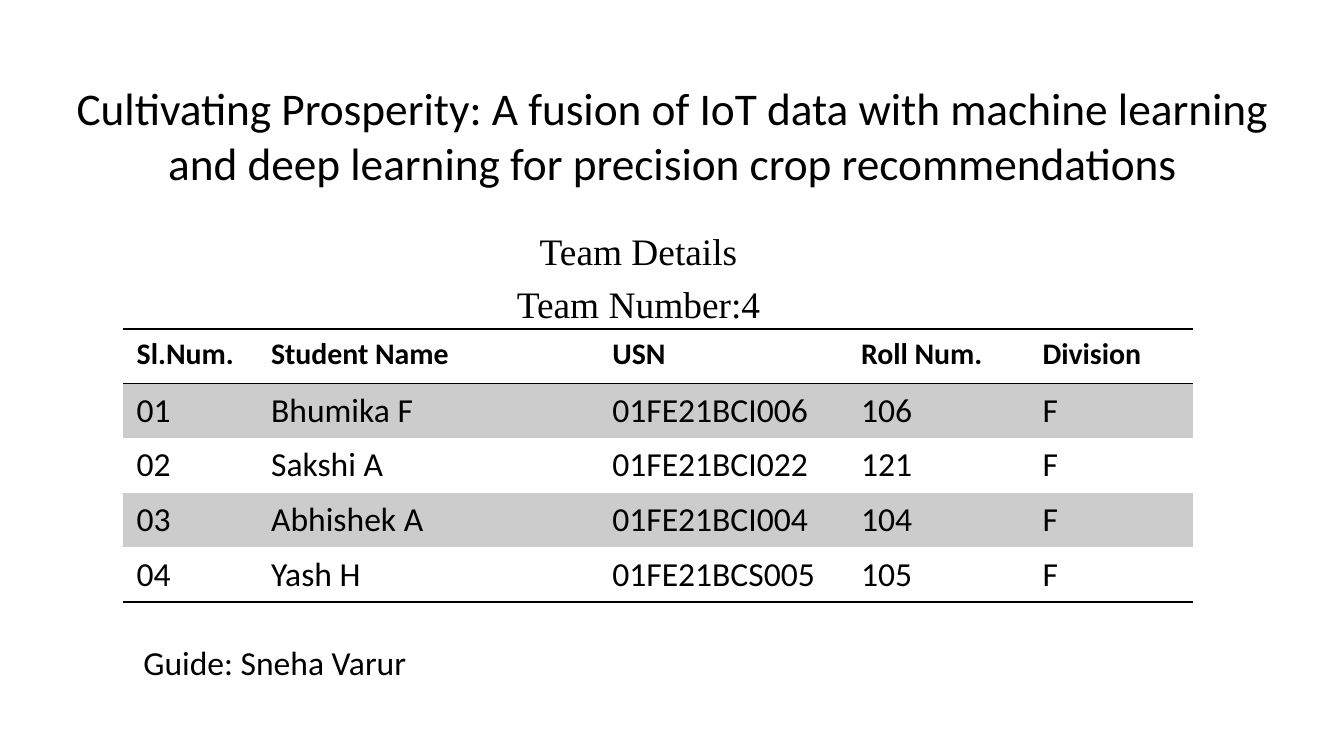
import pptx
import pptx.dml.color
import pptx.enum.text
import pptx.oxml
import pptx.oxml.ns
import pptx.util

Cm = pptx.util.Cm
Pt = pptx.util.Pt
ALIGN = pptx.enum.text.PP_ALIGN
ANCHOR = pptx.enum.text.MSO_ANCHOR

COLORS = {"text": "000000", "band": "CCCCCC", "rule": "000000"}
PLAIN_TABLE = "{2D5ABB26-0587-4C30-8999-92F81FD0307C}"
TITLE = ("Cultivating Prosperity: A fusion of IoT data with machine learning "
         "and deep learning for precision crop recommendations")
TEAM = [
    ["Sl.Num.", "Student Name", "USN", "Roll Num.", "Division"],
    ["01", "Bhumika F", "01FE21BCI006", "106", "F"],
    ["02", "Sakshi A", "01FE21BCI022", "121", "F"],
    ["03", "Abhishek A", "01FE21BCI004", "104", "F"],
    ["04", "Yash H", "01FE21BCS005", "105", "F"],
]


def set_attrs(obj, values):
    """Set every attribute of obj named in values."""
    for name, value in values.items():
        setattr(obj, name, value)


def place(sp, box):
    """Move a shape to a box of left, top, width and height in centimetres."""
    set_attrs(sp, dict(zip(("left", "top", "width", "height"), map(Cm, box))))


def write(tf, lines, font, para):
    """Fill a text frame with one formatted paragraph per line."""
    for i, line in enumerate(lines):
        p = tf.add_paragraph() if i else tf.paragraphs[0]
        set_attrs(p, para)
        r = p.add_run()
        r.text = line
        set_attrs(r.font, font)
        r.font.color.rgb = pptx.dml.color.RGBColor.from_string(COLORS["text"])


def add_title(s, box):
    """Format the title placeholder, set high in its box."""
    sp = s.shapes.title
    place(sp, box)
    tf = sp.text_frame
    set_attrs(tf, {"word_wrap": True, "vertical_anchor": ANCHOR.MIDDLE,
                   "auto_size": pptx.enum.text.MSO_AUTO_SIZE.NONE,
                   "margin_bottom": Cm(1.4)})
    write(tf, [TITLE], {"name": "Calibri", "size": Pt(24.3)},
          {"alignment": ALIGN.CENTER})


def add_text(s, box, lines, font, align):
    """Add a wrapping text box with spaced paragraphs."""
    sp = s.shapes.add_textbox(*map(Cm, box))
    tf = sp.text_frame
    set_attrs(tf, {"word_wrap": True, "vertical_anchor": ANCHOR.TOP})
    write(tf, lines, font,
          {"alignment": align, "space_before": Pt(font["size"].pt * 0.22)})


def add_rules(cell, sides):
    """Draw one-point rules on the given sides (T, B) of a cell."""
    tc_pr = cell._tc.get_or_add_tcPr()
    for i, side in enumerate(sides):
        tc_pr.insert(i, pptx.oxml.parse_xml(
            f'<a:ln{side} {pptx.oxml.ns.nsdecls("a")} w="{Pt(1)}"><a:solidFill>'
            f'<a:srgbClr val="{COLORS["rule"]}"/></a:solidFill></a:ln{side}>'))


def add_team_table(s, box, widths):
    """Add the team table with a ruled header and alternate shaded rows."""
    last = len(TEAM) - 1
    table = s.shapes.add_table(len(TEAM), len(widths), *map(Cm, box)).table
    table._tbl.tblPr.find(pptx.oxml.ns.qn("a:tableStyleId")).text = PLAIN_TABLE
    table.horz_banding = False
    for col, width in zip(table.columns, widths):
        col.width = Cm(width)
    for i, row in enumerate(TEAM):
        table.rows[i].height = Cm(box[3] / len(TEAM))
        for j, value in enumerate(row):
            cell = table.cell(i, j)
            font = {"name": "Calibri", "size": Pt(18 if i else 16), "bold": i == 0}
            write(cell.text_frame, [value], font, {"alignment": ALIGN.LEFT})
            if i % 2:
                cell.fill.solid()
                cell.fill.fore_color.rgb = pptx.dml.color.RGBColor.from_string(
                    COLORS["band"])
            else:
                cell.fill.background()
            add_rules(cell, {0: "TB", last: "B"}.get(i, ""))


def main():
    """Build the team slide and save it."""
    prs = pptx.Presentation()
    set_attrs(prs, {"slide_width": Cm(25.4), "slide_height": Cm(14.29)})
    s = prs.slides.add_slide(prs.slide_layouts[5])
    add_title(s, (0.74, 1.7, 23.93, 2.97))
    add_text(s, (3.18, 4.19, 17.78, 3.66), ["Team Details", "Team Number:4"],
             {"name": "Times New Roman", "size": Pt(20)}, ALIGN.CENTER)
    add_text(s, (2.46, 12.01, 19.56, 2.34), ["Guide: Sneha Varur"],
             {"name": "Calibri", "size": Pt(18)}, ALIGN.LEFT)
    add_team_table(s, (2.33, 6.22, 20.22, 5.16), (2.54, 6.45, 4.7, 3.43, 3.1))
    prs.save("out.pptx")


if __name__ == "__main__":
    main()
